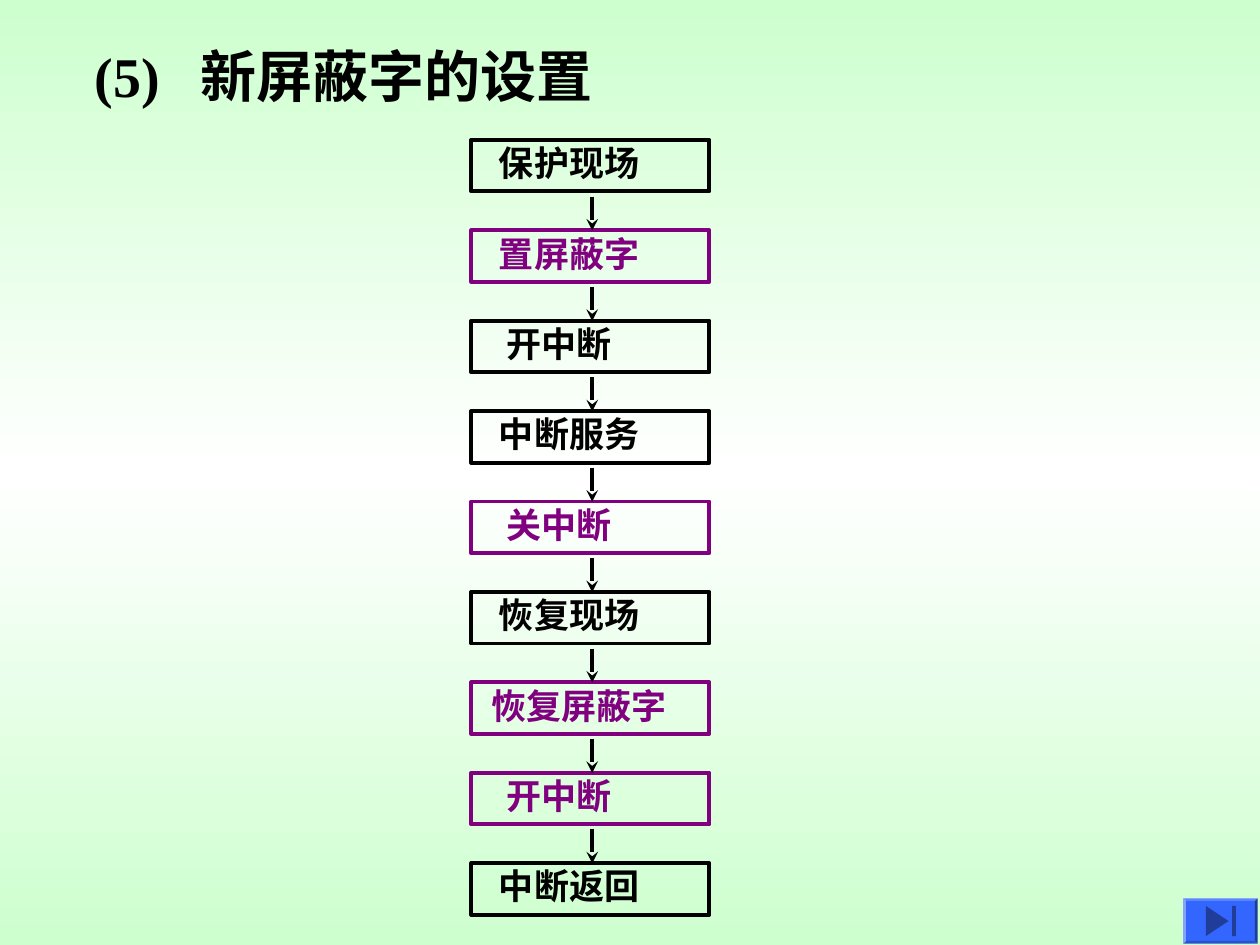
from dataclasses import dataclass

from lxml.etree import SubElement
from pptx import Presentation
from pptx.dml.color import RGBColor
from pptx.enum.shapes import MSO_CONNECTOR, MSO_SHAPE
from pptx.enum.text import MSO_ANCHOR, PP_ALIGN
from pptx.oxml.ns import qn
from pptx.util import Inches, Pt


@dataclass(frozen=True)
class Theme:
    ink: str = "000000"
    mark: str = "800080"
    edge: str = "CDFFCE"
    mid: str = "FFFFFF"
    key: str = "3366FF"
    icon: str = "1F3D99"
    latin: str = "Times New Roman"
    han: str = "Noto Sans CJK SC"
    head: int = 32
    body: int = 20
    line: float = 2.25


THEME = Theme()
WIDE, HIGH = 10, 7.5

# The flow is one column of equal rows.
LEFT, TOP = 3.74, 1.11
BOX_W, BOX_H = 1.89, 0.41
PITCH = 0.7175
AXIS = 4.7
GAP, REACH = 0.04, 0.27
PAD, STEP = 0.1, 0.06

# Label, indent steps, marked as new
STEPS = [
    ("保护现场", 2, False),
    ("置屏蔽字", 2, True),
    ("开中断", 3, False),
    ("中断服务", 2, False),
    ("关中断", 3, True),
    ("恢复现场", 2, False),
    ("恢复屏蔽字", 1, True),
    ("开中断", 3, True),
    ("中断返回", 2, False),
]


def rgb(code):
    return RGBColor.from_string(code)


def inches(*vals):
    return [Inches(v) for v in vals]


def paint(slide):
    """Fill the background with a mirrored vertical gradient."""
    fill = slide.background.fill
    fill.gradient()
    fill.gradient_angle = 270
    stops = fill._fill._gradFill.gsLst
    for stop in list(stops):
        stops.remove(stop)
    for pos, code in ((0, THEME.edge), (50, THEME.mid), (100, THEME.edge)):
        stop = SubElement(stops, qn("a:gs"), pos=str(pos * 1000))
        SubElement(stop, qn("a:srgbClr"), val=code)


def frame_text(frame, pads, wrap=True):
    frame.word_wrap = wrap
    frame.vertical_anchor = MSO_ANCHOR.MIDDLE
    (frame.margin_left, frame.margin_top,
     frame.margin_right, frame.margin_bottom) = inches(*pads)
    para = frame.paragraphs[0]
    para.alignment = PP_ALIGN.LEFT
    return para


def add_run(para, text, size, face, code):
    run = para.add_run()
    run.text = text
    font = run.font
    font.size, font.bold, font.name = Pt(size), True, face
    font.color.rgb = rgb(code)
    latin = font._element.find(qn("a:latin"))
    east = SubElement(font._element, qn("a:ea"), typeface=THEME.han)
    latin.addnext(east)


def add_title(slide):
    box = slide.shapes.add_textbox(*inches(0.75, 0.36, 7.8, 0.47))
    para = frame_text(box.text_frame, (0, 0, 0, 0))
    tabs = SubElement(para._p.get_or_add_pPr(), qn("a:tabLst"))
    SubElement(tabs, qn("a:tab"), pos=str(Inches(0.84)), algn="l")
    for text in ("(5)\t", "新屏蔽字的设置"):
        add_run(para, text, THEME.head, THEME.latin, THEME.ink)


def add_step(slide, row, text, dent, new):
    code = THEME.mark if new else THEME.ink
    box = slide.shapes.add_shape(
        MSO_SHAPE.RECTANGLE, *inches(LEFT, TOP + row * PITCH, BOX_W, BOX_H))
    box.shadow.inherit = False
    box.fill.background()
    box.line.color.rgb = rgb(code)
    box.line.width = Pt(THEME.line)
    para = frame_text(box.text_frame, (PAD + dent * STEP, 0, 0, 0.05))
    add_run(para, text, THEME.body, THEME.han, code)


def add_arrow(slide, row):
    """Point from the given row to the next one."""
    start = TOP + row * PITCH + BOX_H + GAP
    arrow = slide.shapes.add_connector(
        MSO_CONNECTOR.STRAIGHT, *inches(AXIS, start, AXIS, start + REACH))
    arrow.line.color.rgb = rgb(THEME.ink)
    arrow.line.width = Pt(THEME.line)
    SubElement(arrow.line._get_or_add_ln(), qn("a:tailEnd"), type="stealth")
    SubElement(arrow._element.spPr, qn("a:effectLst"))


def plain(shape, code):
    shape.shadow.inherit = False
    shape.fill.solid()
    shape.fill.fore_color.rgb = rgb(code)
    shape.line.fill.background()


def add_button(slide):
    """Draw the bevelled skip-to-end button in the corner."""
    shapes = slide.shapes
    base = shapes.add_shape(
        MSO_SHAPE.BEVEL, *inches(9.39, 7.13, 0.59, 0.36))
    base.adjustments[0] = 0.06
    plain(base, THEME.key)
    pen = shapes.build_freeform(*inches(9.57, 7.19))
    pen.add_line_segments([inches(9.75, 7.31), inches(9.57, 7.43)])
    plain(pen.convert_to_shape(), THEME.icon)
    bar = shapes.add_shape(
        MSO_SHAPE.RECTANGLE, *inches(9.78, 7.19, 0.03, 0.24))
    plain(bar, THEME.icon)


def main():
    deck = Presentation()
    deck.slide_width, deck.slide_height = inches(WIDE, HIGH)
    slide = deck.slides.add_slide(deck.slide_layouts[6])
    paint(slide)
    add_title(slide)
    for row, step in enumerate(STEPS):
        add_step(slide, row, *step)
    for row in range(len(STEPS) - 1):
        add_arrow(slide, row)
    add_button(slide)
    deck.save("out.pptx")


if __name__ == "__main__":
    main()
